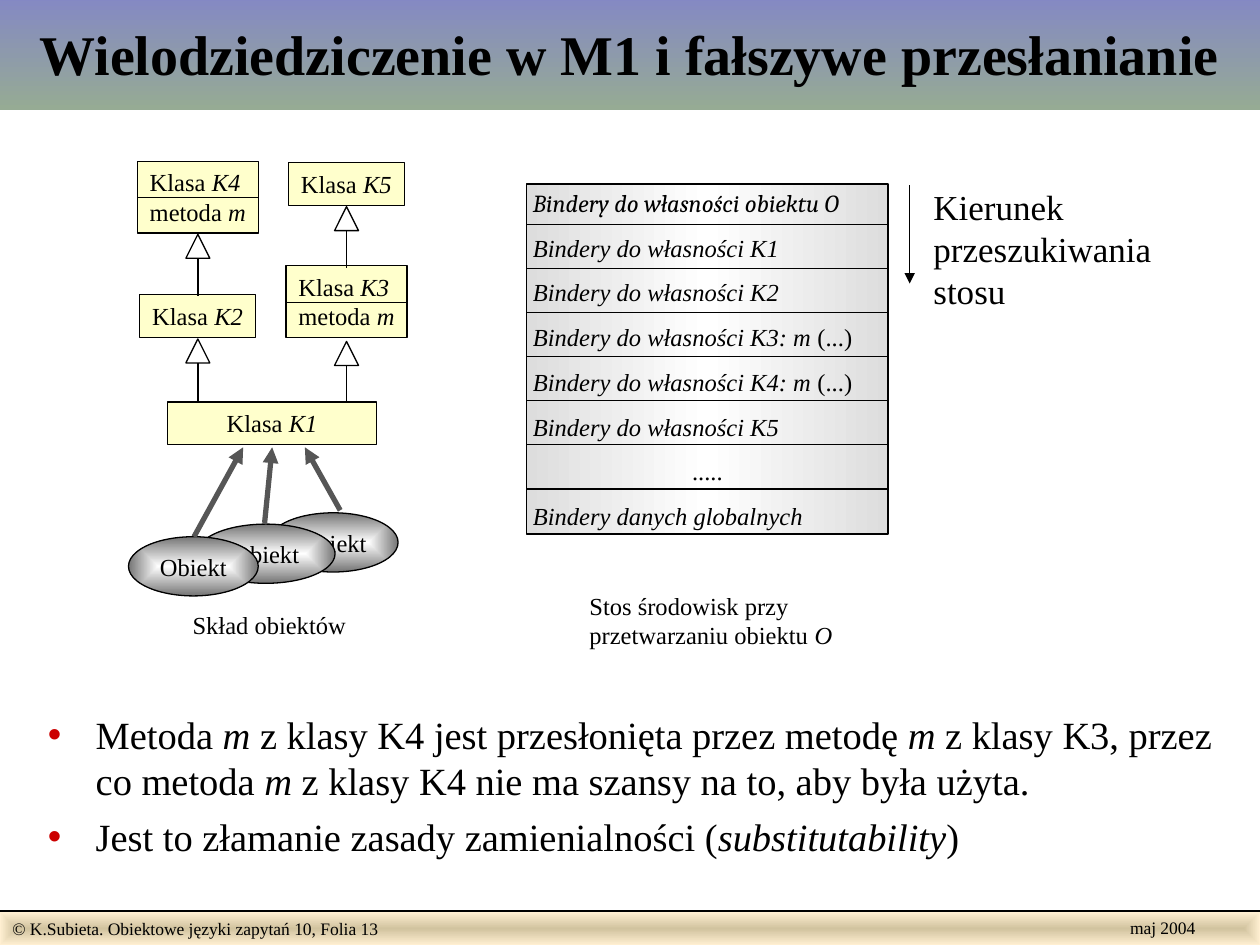
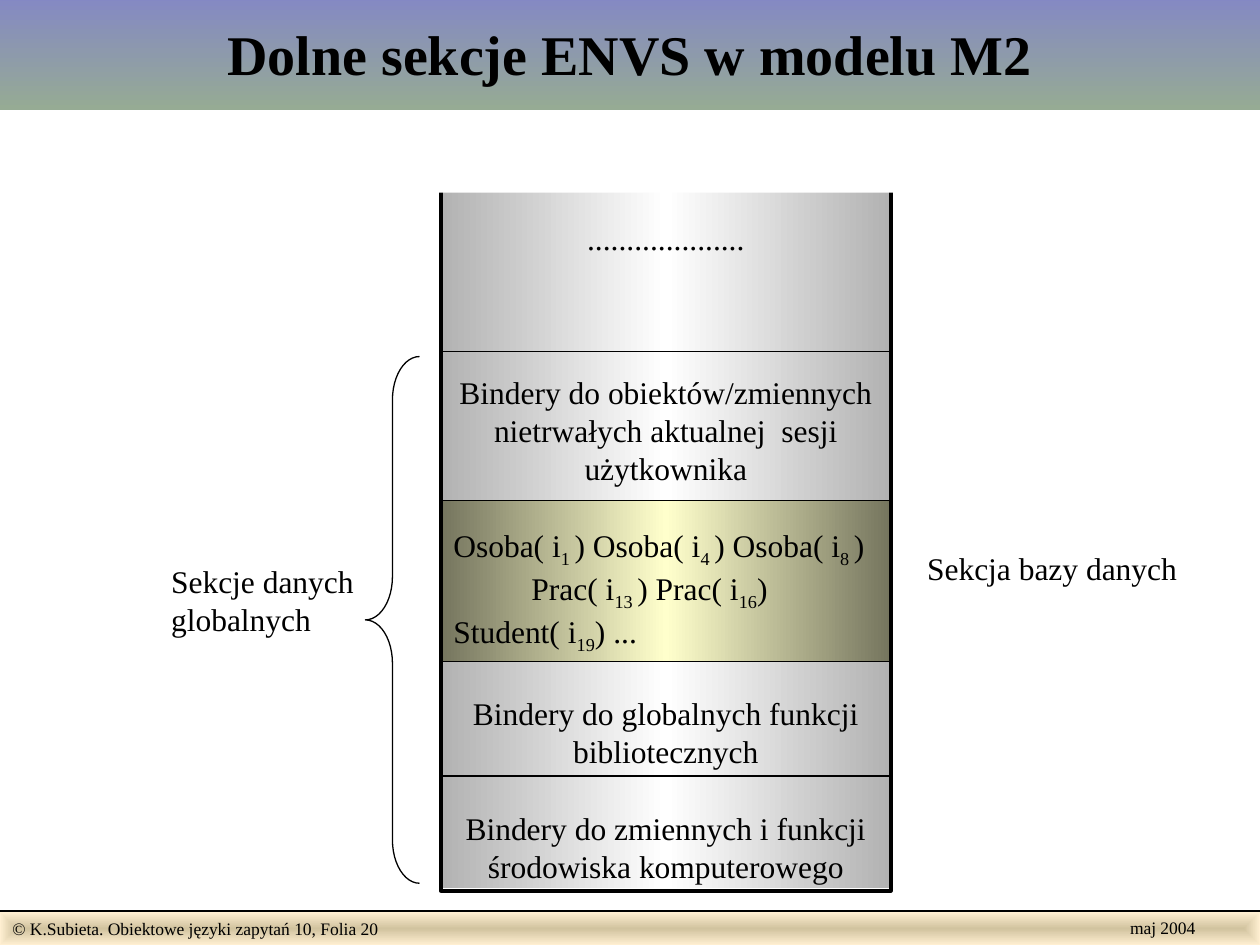
from pptx import Presentation, oxml as ox, util as u
from pptx.dml.color import RGBColor
from pptx.enum import shapes as sh, text as tx
from pptx.oxml.ns import nsdecls, qn

HUE = {"ink": "000000", "paper": "FFFFFF", "class": "FFFFCC", "arrow": "565656",
       "bullet": "CC0000", "sky": "8488C4", "moss": "96AB94", "sand": "D1C39F",
       "cream": "FFEFD1", "pale": "DDDDDD", "grey": "B2B2B2", "olive": "75755E",
       "steel": "757575"}
FONT = "Times New Roman"
WIDE, HIGH = u.Inches(10), u.Inches(7.5)
COLS, ROWS = 100, 75
BOX, OVAL, PEAK = (sh.MSO_SHAPE.RECTANGLE, sh.MSO_SHAPE.OVAL,
                   sh.MSO_SHAPE.ISOSCELES_TRIANGLE)
MID = tx.PP_ALIGN.CENTER


def col(n):
    return round(WIDE * n / COLS)


def row(n):
    return round(HIGH * n / ROWS)


def area(x, y, w, h):
    return col(x), row(y), col(w), row(h)


def rgb(name):
    return RGBColor.from_string(HUE[name])


def assign(item, values):
    for key, value in values.items():
        setattr(item, key, value)


def blend(shape, names, angle=None):
    shape.fill.solid()
    last = len(names) - 1
    stops = "".join(f'<a:gs pos="{100000 * i // last}"><a:srgbClr val="{HUE[n]}"/></a:gs>'
                    for i, n in enumerate(names))
    if angle is None:
        way = ('<a:path path="rect"><a:fillToRect l="50000" t="50000" '
               'r="50000" b="50000"/></a:path>')
    else:
        way = f'<a:lin ang="{angle * 60000}" scaled="1"/>'
    grad = ox.parse_xml(f'<a:gradFill {nsdecls("a")} rotWithShape="1">'
                        f'<a:gsLst>{stops}</a:gsLst>{way}</a:gradFill>')
    props = shape.element.spPr
    props.replace(props.find(qn("a:solidFill")), grad)


def write(shape, lines, size, wrap=True, pad=(0.1, 0.05), frame=None, font=None, para=None):
    body = shape.text_frame
    side, edge = map(u.Inches, pad)
    assign(body, {"word_wrap": wrap, "auto_size": tx.MSO_AUTO_SIZE.NONE,
                  "margin_left": side, "margin_right": side,
                  "margin_top": edge, "margin_bottom": edge,
                  "vertical_anchor": tx.MSO_ANCHOR.TOP, **(frame or {})})
    for i, line in enumerate(lines):
        item = body.paragraphs[0] if i == 0 else body.add_paragraph()
        assign(item, {"alignment": tx.PP_ALIGN.LEFT, **(para or {})})
        for j, part in enumerate(line.split("*")):
            for k, bit in enumerate(part.split("_")):
                if not bit:
                    continue
                run = item.add_run()
                run.text = bit
                assign(run.font, {"name": FONT, "size": u.Pt(size),
                                  "italic": j % 2 == 1, **(font or {})})
                run.font.color.rgb = rgb("ink")
                if k % 2:
                    run.font._element.set("baseline", "-25000")
    return body.paragraphs


def draw(slide, kind, place, fill=None, line=0.75, angle=None):
    shape = slide.shapes.add_shape(kind, *area(*place))
    shape.shadow.inherit = False
    if isinstance(fill, tuple):
        blend(shape, fill, angle)
    elif fill:
        shape.fill.solid()
        shape.fill.fore_color.rgb = rgb(fill)
    else:
        shape.fill.background()
    if line:
        shape.line.color.rgb = rgb("ink")
        shape.line.width = u.Pt(line)
    else:
        shape.line.fill.background()
    return shape


def label(slide, place, lines, size, **style):
    box = slide.shapes.add_textbox(*area(*place))
    return write(box, lines, size, **style)


def rule(slide, start, end, width=0.75, hue="ink", arrow=False):
    line = slide.shapes.add_connector(sh.MSO_CONNECTOR.STRAIGHT, col(start[0]),
                                      row(start[1]), col(end[0]), row(end[1]))
    line.line.color.rgb = rgb(hue)
    line.line.width = u.Pt(width)
    if arrow:
        line.line._get_or_add_ln().append(
            ox.parse_xml(f'<a:tailEnd {nsdecls("a")} type="triangle"/>'))
    line._element.spPr.append(ox.parse_xml(f'<a:effectLst {nsdecls("a")}/>'))


def place_at(shape, place):
    assign(shape, dict(zip(("left", "top", "width", "height"), area(*place))))


def start(deck, layout, title, page):
    slide = deck.slides.add_slide(deck.slide_layouts[layout])
    band = draw(slide, BOX, (0, 72.4, 100, 2.6), ("sand", "cream"), 0)
    write(band, [f"© K.Subieta. Obiektowe języki zapytań 10, Folia {page}"], 10)
    rule(slide, (0, 72.3), (100, 72.3), 1)
    label(slide, (88.7, 72.3, 7.2, 2.7), ["maj 2004"], 10, wrap=False)
    head = slide.shapes.title
    place_at(head, (0, -0.3, 100, 9))
    blend(head, ("sky", "moss"), 90)
    write(head, [title], 32, frame={"vertical_anchor": tx.MSO_ANCHOR.MIDDLE},
          font={"bold": True}, para={"alignment": MID})
    return slide


def klass(slide, x, y, name, w=9.2, method=False, **style):
    lines = [f"Klasa *{name}*"] + ["metoda* m*"] * method
    box = draw(slide, BOX, (x, y, w, 5.7 if method else 3.4), "class")
    write(box, lines, 14, wrap=False, **style)
    if method:
        rule(slide, (x, y + 2.9), (x + w, y + 2.9))


def inherit(slide, x, y):
    rule(slide, (x, y + 1.9), (x, y + 4.9), 1)
    draw(slide, PEAK, (x - 0.95, y, 1.9, 1.9), "paper")


def bullets(slide, lines):
    body = slide.placeholders[1]
    place_at(body, (2.8, 55.9, 97.2, 16.3))
    for item in write(body, lines, 22, para={"space_before": u.Pt(5.5)}):
        props = item._p.get_or_add_pPr()
        props.set("marL", str(u.Inches(0.38)))
        props.set("indent", str(-u.Inches(0.38)))
        for tag in (f'<a:buClr {nsdecls("a")}><a:srgbClr val="{HUE["bullet"]}"/></a:buClr>',
                    f'<a:buChar {nsdecls("a")} char="•"/>'):
            props.append(ox.parse_xml(tag))


def hiding(deck):
    slide = start(deck, 1, "Wielodziedziczenie w M1 i fałszywe przesłanianie", 13)
    klass(slide, 13.3, 31.9, "K1", 16.6, para={"alignment": MID})
    klass(slide, 11.1, 23.4, "K2")
    klass(slide, 22.9, 12.9, "K5")
    klass(slide, 10.9, 12.8, "K4", 9.6, True)
    klass(slide, 22.7, 21.1, "K3", 9.6, True)
    for x, y in ((15.7, 18.6), (15.7, 26.9), (27.5, 16.4), (27.5, 27.1)):
        inherit(slide, x, y)

    left, top, wide = 41.8, 14.6, 28.7
    stack = draw(slide, BOX, (left, top, wide, 27.8), ("pale", "paper", "pale"), 1, 180)
    owners = ["K1", "K2", "K3: m* (...)*", "K4: m* (...)*", "K5"]
    lines = ["*Bindery do własności obiektu O*"]
    lines += [f"*Bindery do własności {name}*" for name in owners]
    lines += [".....", "*Bindery danych globalnych*"]
    items = write(stack, lines, 14, pad=(0.05, 0.03), para={"space_after": u.Pt(8.8)})
    items[0].runs[0].font.name = "Cambria"
    items[6].alignment = MID
    for i in range(len(lines) - 1):
        y = 17.8 + 3.5 * i
        rule(slide, (left, y), (left + wide, y))

    label(slide, (14.3, 47.9, 14.2, 3.4), ["Skład obiektów"], 14, wrap=False)
    label(slide, (45.8, 46.4, 21.3, 5.7),
          ["Stos środowisk przy", "przetwarzaniu obiektu *O*"], 14, wrap=False)
    rule(slide, (72.2, 14.7), (72.2, 22.5), arrow=True)
    label(slide, (73.1, 14.2, 20.7, 11), ["Kierunek przeszukiwania stosu"], 20)
    bullets(slide, [
        "Metoda *m* z klasy K4 jest przesłonięta przez metodę *m* z klasy K3, "
        "przez co metoda *m* z klasy K4 nie ma szansy na to, aby była użyta.",
        "Jest to złamanie zasady zamienialności (*substitutability*)"])

    for x, y, w in ((21.3, 40.7, 10.3), (15.6, 41.6, 11), (10.2, 42.6, 10.3)):
        oval = draw(slide, OVAL, (x, y, w, 4.7), ("paper", "steel"))
        write(oval, ["Obiekt"], 14, wrap=False, para={"alignment": MID})
    for tail, tip in (((15.4, 42.6), 19.3), ((21, 41.5), 21.6), ((27, 40.5), 24.2)):
        rule(slide, tail, (tip, 35.5), 3, "arrow", True)


def sections(deck):
    slide = start(deck, 5, "Dolne sekcje ENVS w modelu M2", 20)
    left, wide = 35, 35.7
    draw(slide, BOX, (left, 13.4, wide, 57.1), ("grey", "paper", "grey"), 0, 180)
    draw(slide, BOX, (left, 39.7, wide, 12.8), ("olive", "class", "olive"), angle=180)
    stack = draw(slide, BOX, (left, 10.7, wide, 60), line=2.25)
    gap = u.Pt(11.2)
    items = write(stack, [
        "....................",
        "Bindery do obiektów/zmiennych nietrwałych aktualnej  sesji użytkownika",
        "Osoba( i_1 _) Osoba( i_4 _) Osoba( i_8 _)",
        "Prac( i_13 _) Prac( i_16_)",
        "Student( i_19_) ...",
        "Bindery do globalnych funkcji bibliotecznych",
        "Bindery do zmiennych i funkcji środowiska komputerowego"], 18,
        frame={"margin_top": u.Inches(0.67)},
        para={"alignment": MID, "space_before": gap, "space_after": gap})
    items[1].space_before = u.Pt(55.3)
    none = u.Pt(0)
    for item, values in zip(items[2:5], ({"space_after": none},
                                         {"space_before": none, "space_after": none},
                                         {"space_before": none})):
        assign(item, {"alignment": tx.PP_ALIGN.LEFT, **values})
    items[3]._p.get_or_add_pPr().set("marL", str(u.Inches(0.62)))
    for y in (27.9, 61.6):
        rule(slide, (left, y), (left + wide, y))
    label(slide, (12.6, 44.1, 18.6, 7), ["Sekcje danych globalnych"], 18)
    brace = draw(slide, sh.MSO_SHAPE.LEFT_BRACE, (29, 28.3, 4.3, 41.8))
    brace.adjustments[0] = 0.8
    label(slide, (72.6, 43.1, 22.6, 4), ["Sekcja bazy danych"], 18)
    draw(slide, BOX, (31.4, 9.6, 41.7, 5.7), "paper", 0)


def main():
    deck = Presentation()
    assign(deck, {"slide_width": WIDE, "slide_height": HIGH})
    hiding(deck)
    sections(deck)
    deck.save("out.pptx")


if __name__ == "__main__":
    main()
